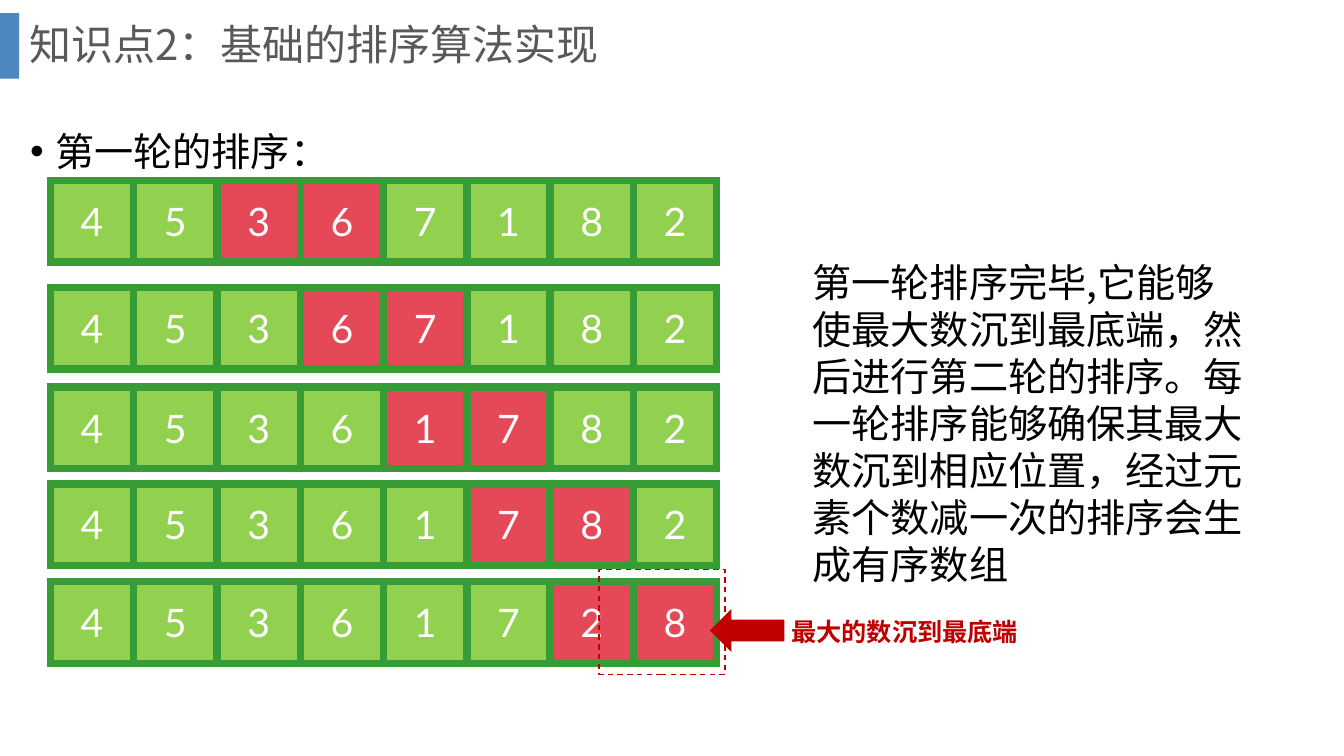
from lxml import etree
from pptx import Presentation
from pptx import util as u
from pptx.dml.color import RGBColor
from pptx.enum import dml, shapes, text
from pptx.oxml import ns

PX = 9144
HUES = {"bar": "2E75B6", "title": "595959", "ink": "000000", "white": "FFFFFF",
        "cell": "92D050", "pair": "E54958", "edge": "379C35", "note": "C00000"}
CJK = "Noto Sans CJK SC"
HEAD = {"name": CJK, "size": u.Pt(30)}
BODY = {"name": CJK, "size": u.Pt(28)}
NOTE = {"name": CJK, "size": u.Pt(18), "bold": True}
DIGIT = {"name": "Lato", "size": u.Pt(28), "bold": False}


def rgb(hue):
    return RGBColor.from_string(HUES[hue])


def add(parent, tag, **attrs):
    return etree.SubElement(parent, ns.qn(tag), attrs)


def assign(item, values):
    for key, value in values.items():
        setattr(item, key, value)


class Deck:
    def __init__(self, wide, high):
        self.prs = Presentation()
        self.prs.slide_width, self.prs.slide_height = wide * PX, high * PX
        self.slide = self.prs.slides.add_slide(self.prs.slide_layouts[5])
        self.items = self.slide.shapes

    def scale(self, box):
        return [n * PX for n in box]

    def letter(self, frame, words, font, hue, para=None, bullet=False):
        line = frame.paragraphs[0]
        line.text = words
        assign(line, para or {})
        if bullet:
            props = line._p.get_or_add_pPr()
            props.set("marL", str(25 * PX))
            props.set("indent", str(-25 * PX))
            add(props, "a:buFont", typeface="Arial")
            add(props, "a:buChar", char="•")
        run = line.runs[0]
        assign(run.font, font)
        run.font.color.rgb = rgb(hue)
        add(run._r.get_or_add_rPr(), "a:ea", typeface=font["name"])

    def title(self, box, words):
        item = self.items.title
        assign(item, dict(zip(("left", "top", "width", "height"), self.scale(box))))
        assign(item.text_frame, {"vertical_anchor": text.MSO_ANCHOR.MIDDLE,
                                 "auto_size": text.MSO_AUTO_SIZE.NONE})
        self.letter(item.text_frame, words, HEAD, "title",
                    {"alignment": text.PP_ALIGN.LEFT, "line_spacing": 0.9})

    def label(self, box, words, font, hue, wrap=True, **style):
        frame = self.items.add_textbox(*self.scale(box)).text_frame
        frame.word_wrap = wrap
        self.letter(frame, words, font, hue, **style)

    def shape(self, kind, box, fill=None, alpha=None, dash=None, turn=0):
        item = self.items.add_shape(kind, *self.scale(box))
        item.shadow.inherit = False
        item.rotation = turn
        if fill:
            item.fill.solid()
            item.fill.fore_color.rgb = rgb(fill)
        else:
            item.fill.background()
        if alpha:
            color = item._element.spPr.find(ns.qn("a:solidFill"))[0]
            add(color, "a:alpha", val=str(alpha * 1000))
        if dash:
            item.line.color.rgb = rgb(dash)
            assign(item.line, {"width": u.Pt(1), "dash_style": dml.MSO_LINE.DASH})
        else:
            item.line.fill.background()

    def row(self, box, nums, pair):
        table = self.items.add_table(1, len(nums), *self.scale(box)).table
        assign(table, {"first_row": False, "horz_banding": False})
        for col, num in enumerate(nums):
            cell = table.cell(0, col)
            cell.vertical_anchor = text.MSO_ANCHOR.MIDDLE
            props = cell._tc.get_or_add_tcPr()
            for side in "LRTB":
                edge = add(props, "a:ln" + side, w=str(u.Pt(6)))
                add(add(edge, "a:solidFill"), "a:srgbClr", val=HUES["edge"])
            cell.fill.solid()
            cell.fill.fore_color.rgb = rgb("pair" if col in pair else "cell")
            self.letter(cell.text_frame, str(num), DIGIT, "white",
                        {"alignment": text.PP_ALIGN.CENTER})


def main():
    deck = Deck(1333, 750)
    rect = shapes.MSO_SHAPE.RECTANGLE
    deck.shape(rect, (0, 13, 19, 65), fill="bar", alpha=85)
    deck.title((19, 0, 1266, 93), "知识点2：基础的排序算法实现")
    deck.label((20, 98, 1290, 80), "第一轮的排序：", BODY, "ink",
               para={"line_spacing": 1.5}, bullet=True)

    nums = [4, 5, 3, 6, 7, 1, 8, 2]
    for left, top in enumerate((179, 285, 384, 480, 577), start=2):
        pair = (left, left + 1)
        nums[left:left + 2] = sorted(nums[left:left + 2])
        deck.row((50, top, 661, 81), nums, pair)

    deck.label((796, 251, 456, 340),
               "第一轮排序完毕,它能够使最大数沉到最底端，然后进行第二轮的排序。"
               "每一轮排序能够确保其最大数沉到相应位置，经过元素个数减一次的排序会生成有序数组",
               BODY, "ink")
    deck.shape(rect, (594, 565, 125, 104), dash="note")
    deck.label((775, 607, 247, 40), "最大的数沉到最底端", NOTE, "note", wrap=False)
    deck.shape(shapes.MSO_SHAPE.RIGHT_ARROW, (704, 604, 74, 43), fill="note", turn=180)
    deck.prs.save("out.pptx")


if __name__ == "__main__":
    main()
